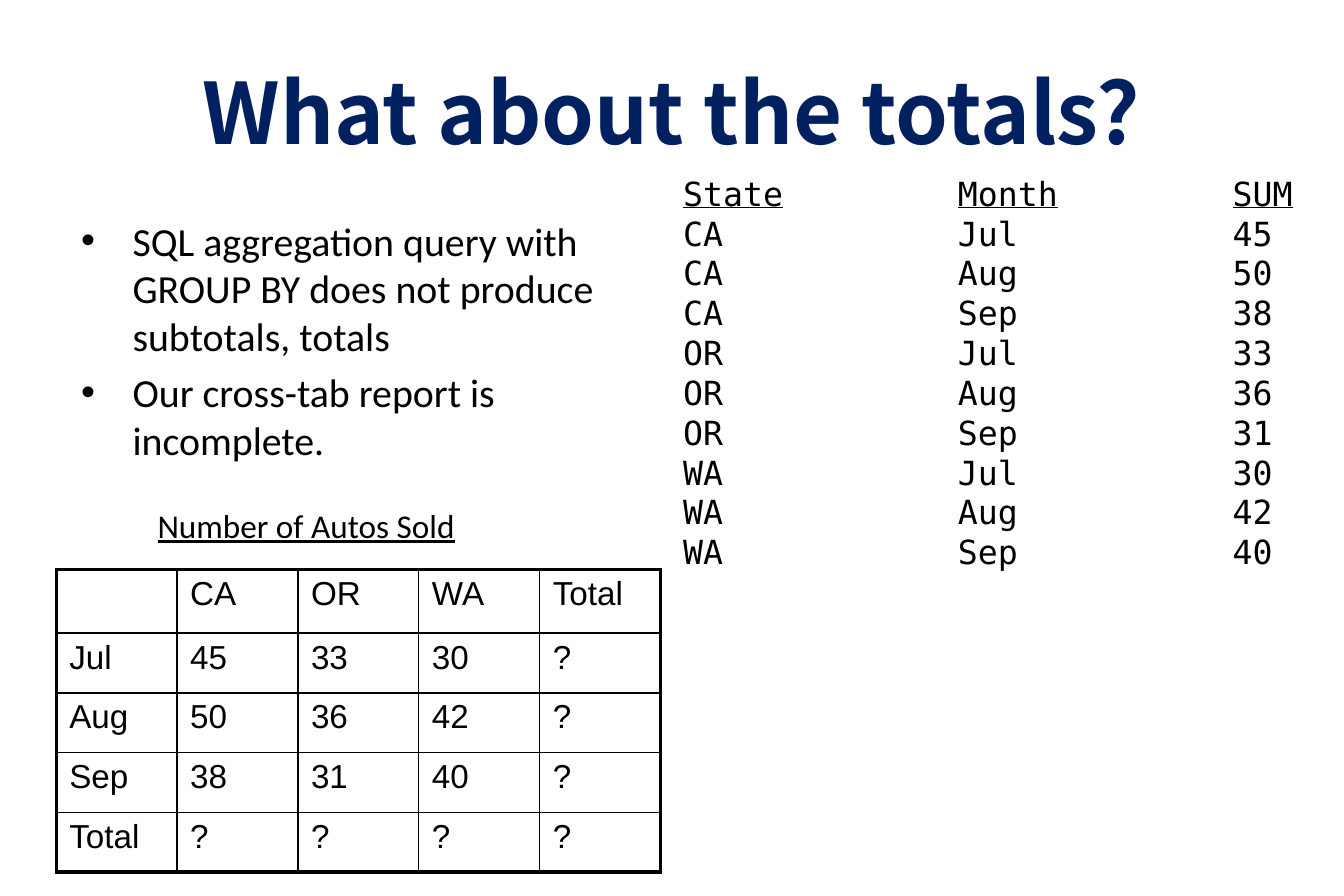
from dataclasses import dataclass

from lxml.etree import SubElement
from pptx import Presentation
from pptx.dml.color import RGBColor
from pptx.enum.text import MSO_ANCHOR as ANCHOR, MSO_AUTO_SIZE as AUTO, PP_ALIGN as ALIGN
from pptx.oxml.ns import qn
from pptx.util import Inches, Pt


@dataclass(frozen=True)
class Theme:
    """Colours, fonts and sizes of the deck."""
    ink: str = "000000"
    navy: str = "002060"
    title_font: str = "Noto Sans CJK SC"
    body_font: str = "Calibri"
    table_font: str = "Arial"
    mono_font: str = "DejaVu Sans Mono"
    title_size: float = 51
    body_size: float = 24
    small_size: float = 20
    thin: float = 1
    thick: float = 2.25


class Deck:
    """Holds the theme and the current slide."""

    def __init__(self, theme, width, height):
        """Open a presentation of the given size."""
        self.theme = theme
        self.prs = Presentation()
        self.prs.slide_width, self.prs.slide_height = Inches(width), Inches(height)
        self.s = self.prs.slides.add_slide(self.prs.slide_layouts[5])

    def set_all(self, obj, values):
        """Set attributes from a dict."""
        for name, value in values.items():
            setattr(obj, name, value)

    def add_run(self, p, text, font, size, color=None, **extra):
        """Add a formatted run to a paragraph."""
        r = p.add_run()
        r.text = text
        self.set_all(r.font, {"name": font, "size": Pt(size), **extra})
        r.font.color.rgb = RGBColor.from_string(color or self.theme.ink)

    def frame(self, sp, inset=(0.1, 0.05), anchor=ANCHOR.TOP):
        """Set the margins and wrapping of a text frame."""
        tf = sp.text_frame
        x, y = map(Inches, inset)
        self.set_all(tf, {
            "word_wrap": True, "auto_size": AUTO.NONE, "vertical_anchor": anchor,
            "margin_left": x, "margin_right": x, "margin_top": y, "margin_bottom": y})
        return tf

    def paragraphs(self, tf, count):
        """Return the given number of paragraphs of a new frame."""
        return [tf.paragraphs[0]] + [tf.add_paragraph() for _ in range(count - 1)]

    def box(self, place, **options):
        """Add a text box and return its frame."""
        return self.frame(self.s.shapes.add_textbox(*map(Inches, place)), **options)

    def title(self, text, place):
        """Fill and place the title placeholder."""
        t, sp = self.theme, self.s.shapes.title
        self.set_all(sp, dict(zip(("left", "top", "width", "height"), map(Inches, place))))
        p = self.frame(sp, (0.12, 0.06), ANCHOR.MIDDLE).paragraphs[0]
        p.alignment = ALIGN.CENTER
        self.add_run(p, text, t.title_font, t.title_size, t.navy, bold=True)

    def bullets(self, items, place, indent=0.43):
        """Add a bulleted list."""
        t = self.theme
        tf = self.box(place, inset=(0.12, 0.06))
        for i, (p, text) in enumerate(zip(self.paragraphs(tf, len(items)), items)):
            pPr = p._p.get_or_add_pPr()
            pPr.set("marL", str(Inches(indent)))
            pPr.set("indent", str(-Inches(indent)))
            SubElement(pPr, qn("a:buFont"), typeface=t.table_font)
            SubElement(pPr, qn("a:buChar"), char="•")
            if i:
                p.space_before = Pt(t.body_size * 0.2)
            self.add_run(p, text, t.body_font, t.body_size)

    def caption(self, text, place):
        """Add an underlined caption."""
        t = self.theme
        p = self.box(place).paragraphs[0]
        self.add_run(p, text, t.body_font, t.small_size, underline=True)

    def listing(self, rows, place, tab=1.15):
        """Add tabbed query output with an underlined header."""
        t = self.theme
        tf = self.box(place)
        for i, (p, row) in enumerate(zip(self.paragraphs(tf, len(rows)), rows)):
            tabs = SubElement(p._p.get_or_add_pPr(), qn("a:tabLst"))
            for n in range(1, 5):
                SubElement(tabs, qn("a:tab"), pos=str(Inches(tab * n)), algn="l")
            p.line_spacing = Pt(t.small_size * 1.2)
            for j, text in enumerate(row):
                if j:
                    self.add_run(p, "\t\t", t.mono_font, t.small_size)
                self.add_run(p, text, t.mono_font, t.small_size, underline=i == 0)

    def border(self, cell, side, width):
        """Draw one side of a cell."""
        ln = SubElement(cell._tc.get_or_add_tcPr(), qn(f"a:ln{side}"), w=str(Pt(width)))
        fill = SubElement(ln, qn("a:solidFill"))
        SubElement(fill, qn("a:srgbClr"), val=self.theme.ink)

    def table(self, rows, place, heights):
        """Add a plain grid with a thick outer frame."""
        t = self.theme
        last_row, last_col = len(rows) - 1, len(rows[0]) - 1
        tbl = self.s.shapes.add_table(len(rows), len(rows[0]), *map(Inches, place)).table
        self.set_all(tbl, {"first_row": False, "horz_banding": False})
        for i, row in enumerate(rows):
            tbl.rows[i].height = Inches(heights[i])
            for j, text in enumerate(row):
                cell = tbl.cell(i, j)
                self.set_all(cell, {
                    "margin_left": Inches(0.11), "margin_right": Inches(0.11),
                    "margin_top": Inches(0.05), "margin_bottom": Inches(0.05)})
                outer = {"L": j == 0, "R": j == last_col, "T": i == 0, "B": i == last_row}
                for side, is_outer in outer.items():
                    self.border(cell, side, t.thick if is_outer else t.thin)
                cell.fill.background()
                if text:
                    p = cell.text_frame.paragraphs[0]
                    self.add_run(p, text, t.table_font, t.small_size)


def main():
    """Build the slide on totals."""
    states, months = ["CA", "OR", "WA"], ["Jul", "Aug", "Sep"]
    sold = {"CA": [45, 50, 38], "OR": [33, 36, 31], "WA": [30, 42, 40]}
    query = [["State", "Month", "SUM"]]
    query += [[st, m, str(n)] for st in states for m, n in zip(months, sold[st])]
    report = [["", *states, "Total"]]
    report += [[m, *(str(sold[st][i]) for st in states), "?"] for i, m in enumerate(months)]
    report.append(["Total"] + ["?"] * 4)

    deck = Deck(Theme(), 11.25, 7.5)
    deck.title("What about the totals?", (0.56, 0.3, 10.12, 1.25))
    deck.bullets(["SQL aggregation query with GROUP BY does not produce subtotals, totals",
                  "Our cross-tab report is incomplete."], (0.56, 1.75, 4.97, 2.25))
    deck.table(report, (0.47, 4.77, 5.06, 2.53), [0.53] + [0.5] * 4)
    deck.caption("Number of Autos Sold", (1.22, 4.18, 3.75, 0.43))
    deck.listing(query, (5.62, 1.4, 5.62, 3.77))
    deck.prs.save("out.pptx")


if __name__ == "__main__":
    main()
